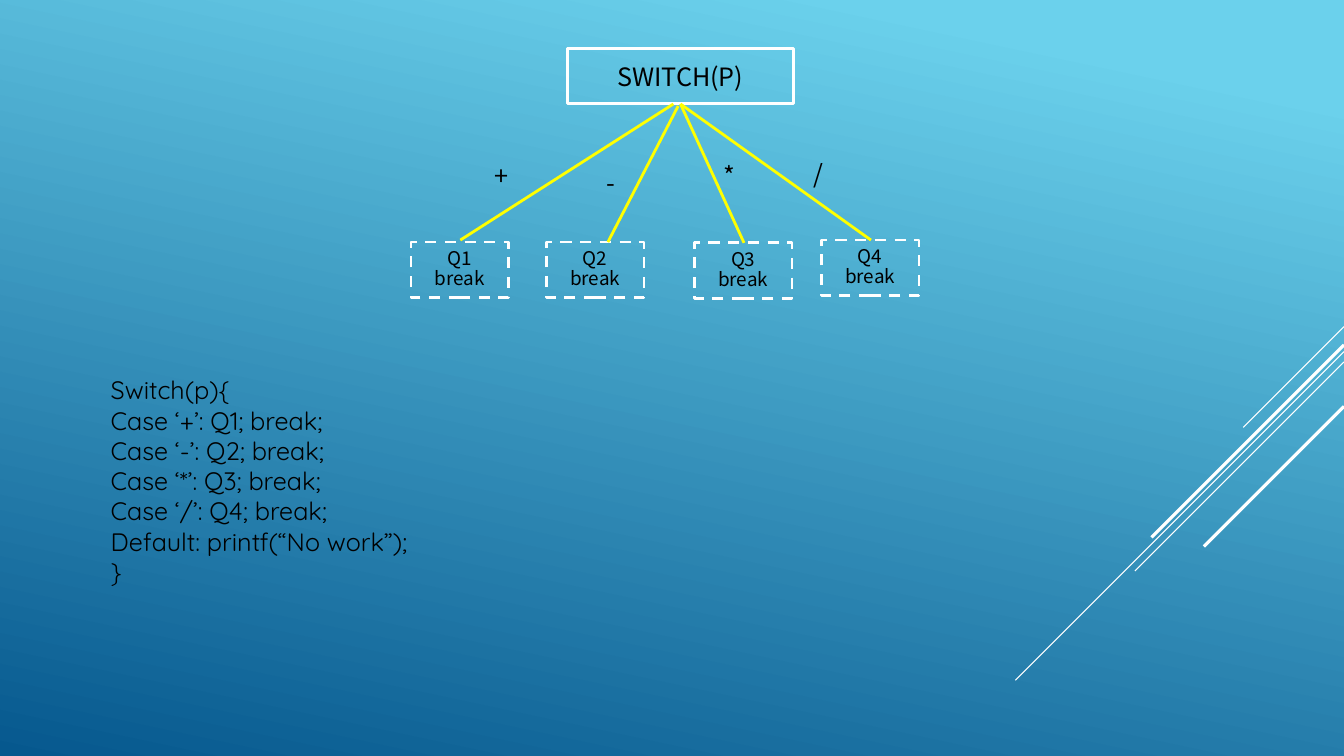
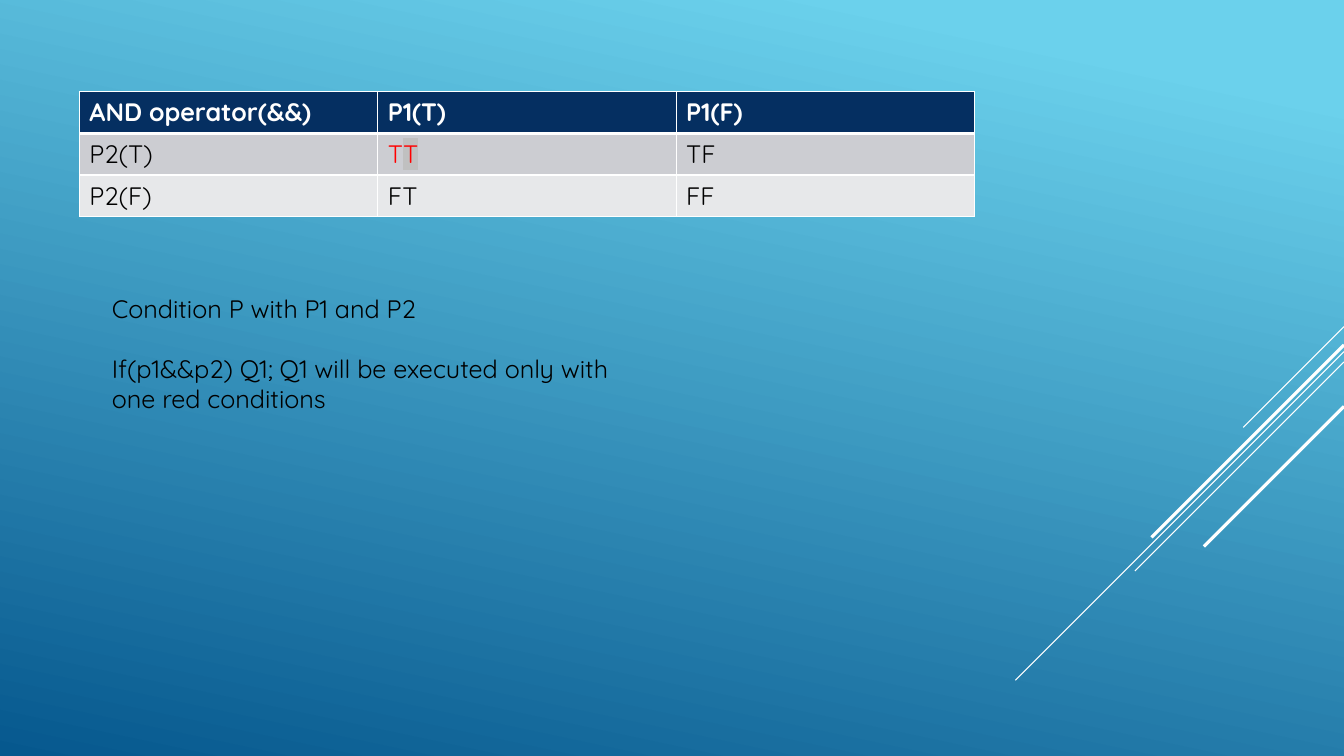
from lxml.etree import SubElement
from pptx import Presentation
from pptx.dml.color import RGBColor
from pptx.enum.dml import MSO_LINE_DASH_STYLE as DASH
from pptx.enum.shapes import MSO_CONNECTOR_TYPE as LINK, MSO_SHAPE as SHAPE
from pptx.enum.text import MSO_ANCHOR as ANCHOR, PP_ALIGN as ALIGN
from pptx.oxml import parse_xml
from pptx.oxml.ns import nsdecls, qn
from pptx.util import Cm, Pt

WHITE, BLACK, RED, YELLOW = "FFFFFF", "000000", "FF0000", "FFFF00"
SKY, DEEP, NAVY, SILVER = "6BD1EC", "06588E", "052F61", "C0C0C0"
BANDS = "CCCDD2", "E7E8EA"
BODY, DIAGRAM = "Quicksand", "Noto Sans CJK SC"
WIDTH, HEIGHT = 33.87, 19.05
STREAKS = [(8.23, 2.54, 0.75), (8.86, 8.28, 0.75), (9.12, 5.27, 0.75),
           (8.69, 4.85, 2.25), (10.24, 3.53, 2.25)]


def rgb(value):
    return RGBColor.from_string(value)


class Deck:
    def __init__(self):
        self.prs = Presentation()
        self.prs.slide_width, self.prs.slide_height = Cm(WIDTH), Cm(HEIGHT)
        fill = self.prs.slide_master.background.fill
        fill.gradient()
        fill.gradient_angle = 258
        for stop, color, pos in zip(fill.gradient_stops, (SKY, DEEP), (0.1, 1)):
            stop.color.rgb = rgb(color)
            stop.position = pos

    def new_slide(self):
        self.s = self.prs.slides.add_slide(self.prs.slide_layouts[6])
        for y, reach, weight in STREAKS:
            self.line(WIDTH, y, WIDTH - reach, y + reach, WHITE, weight)

    def line(self, x1, y1, x2, y2, color, weight):
        c = self.s.shapes.add_connector(LINK.STRAIGHT, Cm(x1), Cm(y1), Cm(x2), Cm(y2))
        c.line.color.rgb = rgb(color)
        c.line.width = Pt(weight)
        SubElement(c._element.spPr, qn("a:effectLst"))

    def run(self, p, text, font=BODY, size=18, color=BLACK, bold=False):
        r = p.add_run()
        r.text = text
        r.font.name, r.font.size, r.font.bold = font, Pt(size), bold
        r.font.color.rgb = rgb(color)
        return r

    def highlight(self, r, color):
        mark = parse_xml(f'<a:highlight {nsdecls("a")}><a:srgbClr val="{color}"/></a:highlight>')
        r.font._element.find(qn("a:solidFill")).addnext(mark)

    def paragraphs(self, tf, lines, align=ALIGN.LEFT, gap=0, spacing=None, **style):
        tf.word_wrap = True
        for i, text in enumerate(lines):
            p = tf.add_paragraph() if i else tf.paragraphs[0]
            p.alignment, p.line_spacing = align, spacing
            p.space_before = Pt(gap if i else 0)
            self.run(p, text, **style)

    def text(self, x, y, w, h, lines, gap=0):
        tf = self.s.shapes.add_textbox(Cm(x), Cm(y), Cm(w), Cm(h)).text_frame
        self.paragraphs(tf, lines, gap=gap)

    def label(self, x, y, text):
        tf = self.s.shapes.add_textbox(Cm(x), Cm(y), Cm(4.06), Cm(1.4)).text_frame
        tf.vertical_anchor = ANCHOR.MIDDLE
        self.paragraphs(tf, [text], ALIGN.CENTER, font=DIAGRAM)

    def box(self, x, y, w, lines, size, dash=None, spacing=None):
        sp = self.s.shapes.add_shape(SHAPE.RECTANGLE, Cm(x), Cm(y), Cm(w), Cm(1.4))
        sp.shadow.inherit = False
        sp.fill.background()
        sp.line.color.rgb = rgb(WHITE)
        sp.line.width = Pt(2)
        sp.line.dash_style = dash
        tf = sp.text_frame
        tf.margin_top = tf.margin_bottom = 0
        tf.vertical_anchor = ANCHOR.MIDDLE
        self.paragraphs(tf, lines, ALIGN.CENTER, spacing=spacing, font=DIAGRAM, size=size)

    def borders(self, cell, **weights):
        tc_pr = cell._tc.get_or_add_tcPr()
        for i, side in enumerate("LRTB"):
            tc_pr.insert(i, parse_xml(
                f'<a:ln{side} {nsdecls("a")} w="{Pt(weights.get(side, 0.96))}">'
                f'<a:solidFill><a:srgbClr val="{WHITE}"/></a:solidFill></a:ln{side}>'))

    def table(self, x, y, col_w, row_h, rows):
        n, m = len(rows), len(rows[0])
        frame = self.s.shapes.add_table(n, m, Cm(x), Cm(y), Cm(col_w * m), Cm(row_h * n))
        table = frame.table
        table.first_row = table.horz_banding = False
        for col in table.columns:
            col.width = Cm(col_w)
        for i, values in enumerate(rows):
            table.rows[i].height = Cm(row_h)
            for j, text in enumerate(values):
                cell = table.cell(i, j)
                cell.fill.solid()
                cell.fill.fore_color.rgb = rgb(BANDS[(i - 1) % 2] if i else NAVY)
                self.borders(cell, **({"T": 3} if i == 1 else {} if i else {"B": 3}))
                if text:
                    self.run(cell.text_frame.paragraphs[0], text,
                             color=BLACK if i else WHITE, bold=not i)
        return table


def switch_slide(deck):
    deck.new_slide()
    deck.box(14.3, 1.22, 5.69, ["SWITCH(P)"], 18)
    branches = [
        ("Q1", 10.36, 6.1, (16.97, 2.62, 11.6, 6.05), "+", 10.62, 3.71),
        ("Q2", 13.77, 6.1, (17.09, 2.67, 15.32, 6.1), "-", 13.36, 3.91),
        ("Q3", 17.5, 6.12, (17.15, 2.62, 18.75, 6.12), "*", 16.36, 3.71),
        ("Q4", 20.7, 6.05, (17.15, 2.62, 21.95, 6.05), "/", 18.59, 3.66),
    ]
    for name, x, y, ends, sign, sign_x, sign_y in branches:
        deck.box(x, y, 2.46, [name, "break"], 13.5, DASH.DASH, 0.85)
        deck.line(*ends, YELLOW, 2)
        deck.label(sign_x, sign_y, sign)
    deck.text(2.54, 9.32, 10.82, 5.59, [
        "Switch(p){",
        "Case ‘+’: Q1; break;",
        "Case ‘-’: Q2; break;",
        "Case ‘*’: Q3; break;",
        "Case ‘/’: Q4; break;",
        "Default: printf(“No work”);",
        "}",
    ])


def and_slide(deck):
    deck.new_slide()
    table = deck.table(2, 2.31, 7.52, 1.05, [
        ["AND operator(&&)", "P1(T)", "P1(F)"],
        ["P2(T)", "", "TF"],
        ["P2(F)", "FT", "FF"],
    ])
    p = table.cell(1, 1).text_frame.paragraphs[0]
    deck.run(p, "T", color=RED)
    deck.highlight(deck.run(p, "T", color=RED), SILVER)
    deck.text(2.57, 7.26, 13.21, 3.3, [
        "Condition P with P1 and P2",
        "If(p1&&p2) Q1; Q1 will be executed only with one red conditions",
    ], gap=21.6)


def main():
    deck = Deck()
    switch_slide(deck)
    and_slide(deck)
    deck.prs.save("out.pptx")


if __name__ == "__main__":
    main()
